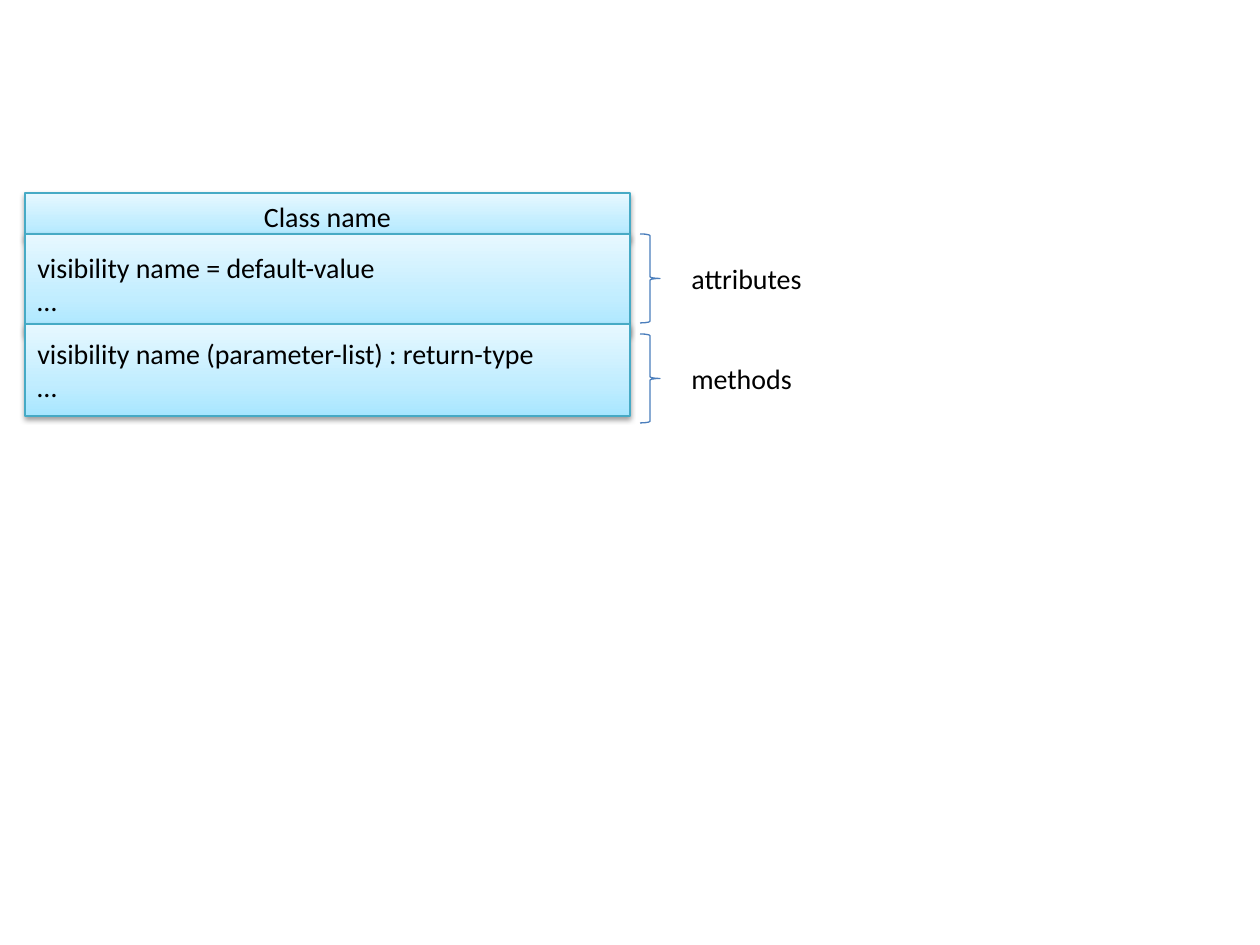
from copy import deepcopy

from lxml.etree import SubElement
from pptx import Presentation
from pptx.dml.color import RGBColor as RGB
from pptx.enum.shapes import MSO_SHAPE as Shape
from pptx.enum.text import MSO_ANCHOR as Anchor, MSO_AUTO_SIZE as Auto, PP_ALIGN as Align
from pptx.oxml.ns import qn
from pptx.util import Pt

PX = 914400 / 126
COLORS = {
    "text": "000000",
    "edge": "46AAC5",
    "brace": "4B7EBC",
    "low": "A7E6FF",
    "mid": "C1EDFF",
    "high": "E7F8FF",
    "shadow": "000000",
}
STOPS = [(0, "low"), (0.35, "mid"), (1, "high")]


def px(*nums):
    return [round(n * PX) for n in nums]


def color(key):
    return RGB.from_string(COLORS[key])


def write(shape, lines, align=Align.LEFT, anchor=Anchor.TOP, grow=True):
    frame = shape.text_frame
    frame.word_wrap = True
    frame.auto_size = Auto.SHAPE_TO_FIT_TEXT if grow else Auto.NONE
    frame.vertical_anchor = anchor
    for i, line in enumerate(lines):
        para = frame.add_paragraph() if i else frame.paragraphs[0]
        para.alignment = align
        run = para.add_run()
        run.text = line
        run.font.name = "Calibri"
        run.font.size = Pt(16)
        run.font.color.rgb = color("text")


def shade(shape):
    """Fill with the three-stop gradient, darkest at the bottom."""
    fill = shape.fill
    fill.gradient()
    fill.gradient_angle = 90
    stops = shape.element.spPr.find(".//" + qn("a:gsLst"))
    stops.append(deepcopy(stops[0]))
    for stop, (pos, key) in zip(fill.gradient_stops, STOPS):
        stop.position = pos
        stop.color.rgb = color(key)


def drop(shape):
    """Cast a soft shadow straight down."""
    effects = shape.element.spPr.find(qn("a:effectLst"))
    outer = SubElement(effects, qn("a:outerShdw"), blurRad=str(Pt(3.1)),
                       dist=str(Pt(1.6)), dir="5400000", rotWithShape="0")
    tone = SubElement(outer, qn("a:srgbClr"), val=COLORS["shadow"])
    SubElement(tone, qn("a:alpha"), val="38000")


def add_shape(slide, kind, place, edge):
    shape = slide.shapes.add_shape(kind, *px(*place))
    shape.shadow.inherit = False
    shape.line.color.rgb = color(edge)
    shape.line.width = Pt(0.75)
    return shape


def add_box(slide, top, high, lines, align=Align.LEFT, grow=False):
    box = add_shape(slide, Shape.RECTANGLE, (25, top, 605, high), "edge")
    shade(box)
    drop(box)
    write(box, lines, align, Anchor.MIDDLE, grow)


def add_note(slide, top, text):
    """Add a brace and the label beside its middle."""
    brace = add_shape(slide, Shape.RIGHT_BRACE, (640, top, 20, 89), "brace")
    brace.fill.background()
    label = slide.shapes.add_textbox(*px(679, top + 21, 169, 47))
    write(label, [text])


def main():
    deck = Presentation()
    deck.slide_width, deck.slide_height = px(1260, 945)
    slide = deck.slides.add_slide(deck.slide_layouts[6])
    add_box(slide, 193, 47, ["Class name"], Align.CENTER, True)
    add_box(slide, 234, 100, ["visibility name = default-value", "…"])
    add_box(slide, 324, 92, ["visibility name (parameter-list) : return-type", "…"])
    for top, text in [(234, "attributes"), (334, "methods")]:
        add_note(slide, top, text)
    deck.save("out.pptx")


if __name__ == "__main__":
    main()
